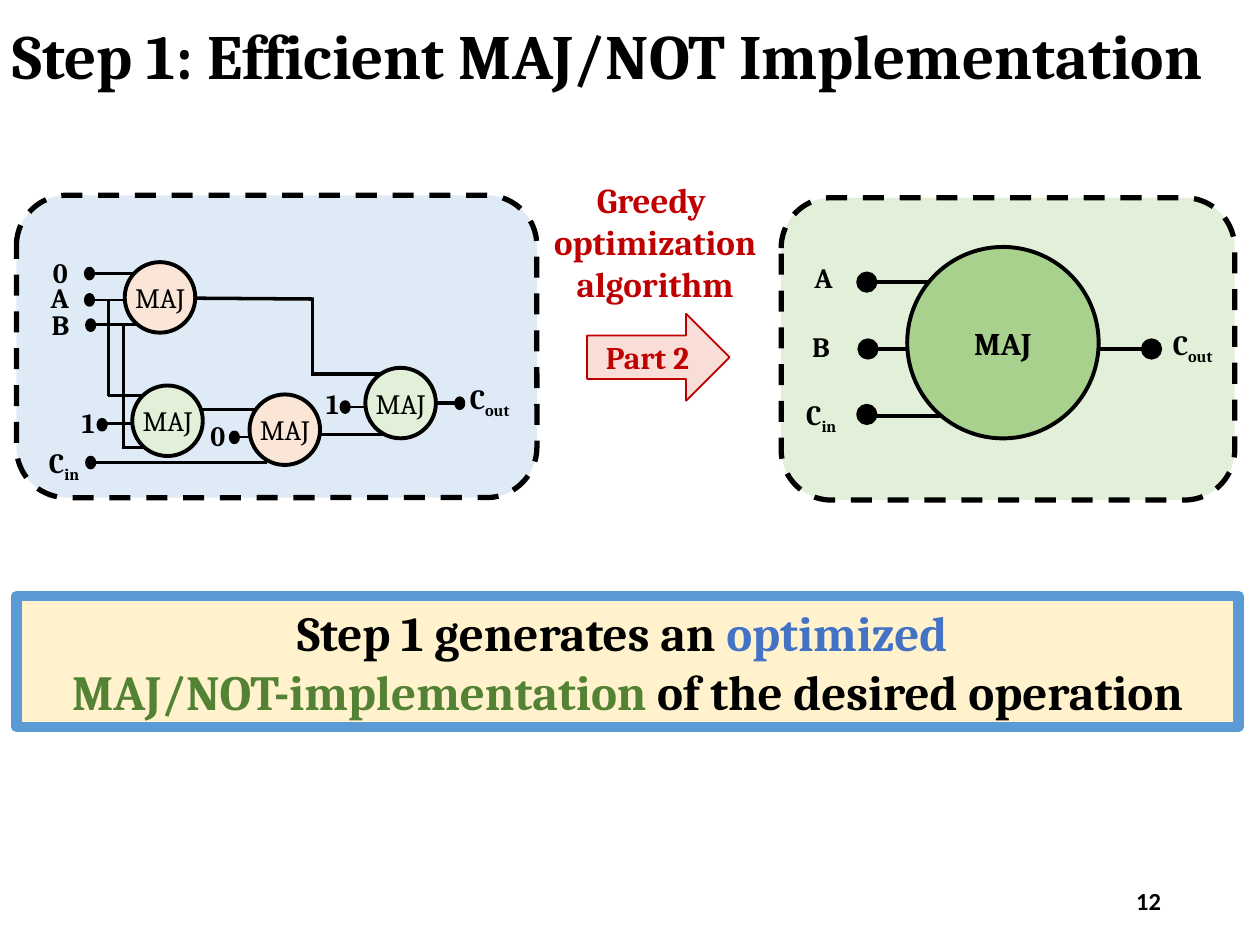
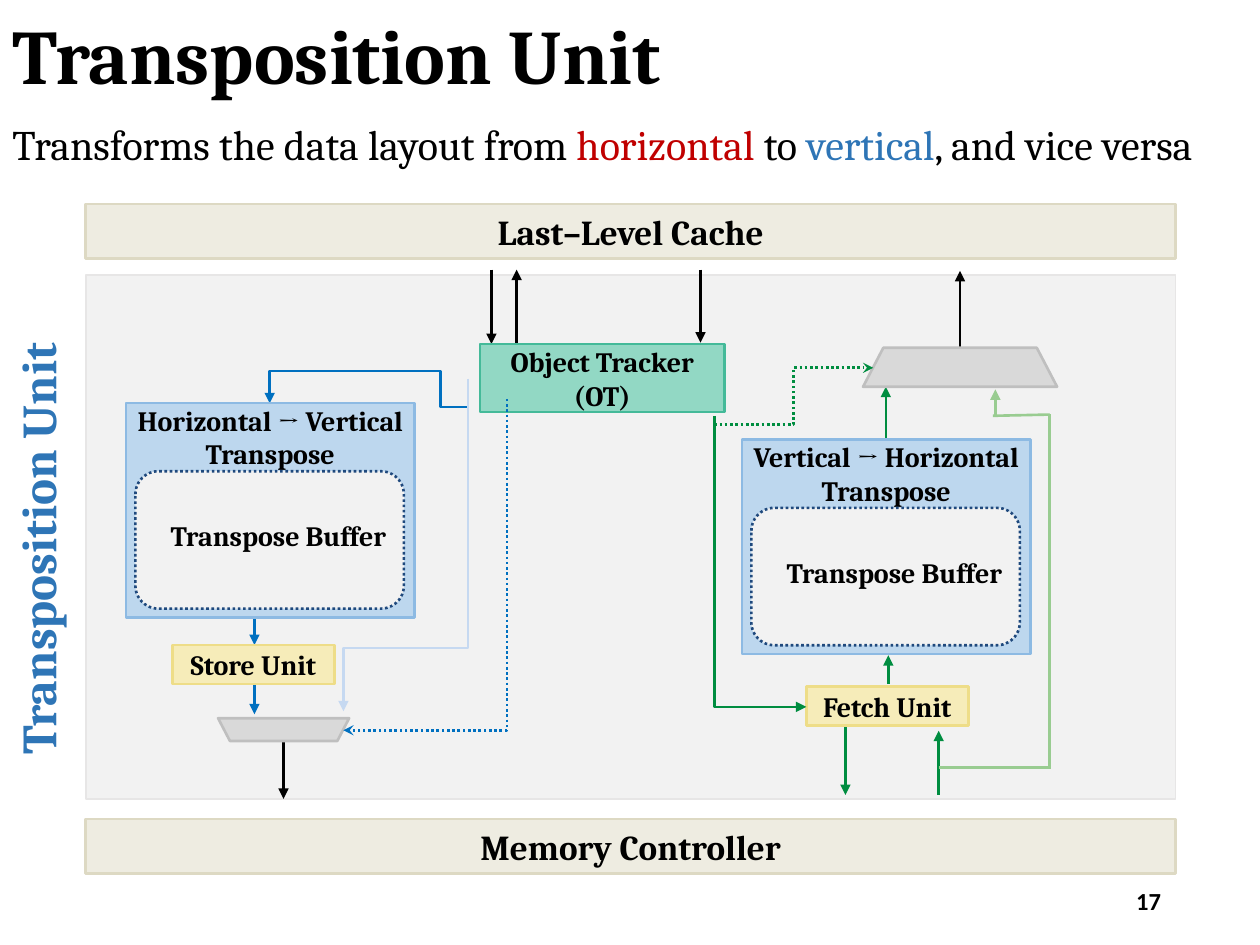
"""Build two slides: the MAJ/NOT implementation step and the transposition unit."""
from lxml.etree import SubElement
from pptx import Presentation
from pptx.dml.color import RGBColor
from pptx.enum.dml import MSO_LINE
from pptx.enum.shapes import MSO_CONNECTOR, MSO_SHAPE
from pptx.enum.text import MSO_ANCHOR, MSO_AUTO_SIZE, PP_ALIGN
from pptx.oxml.ns import qn
from pptx.util import Pt

BLACK, RED, BLUE, GREEN = "000000", "C00000", "0070C0", "008D40"
PALE_GREEN, PALE_BLUE, ACCENT = "99CC91", "C6D9F1", "2E75B6"
SAND, CREAM, GREY = ("EEECE1", "DDD9C3"), ("F6ECB9", "EEDD88"), ("D9D9D9", "BFBFBF")
LEFT, CENTER, RIGHT = PP_ALIGN.LEFT, PP_ALIGN.CENTER, PP_ALIGN.RIGHT
TOP, MIDDLE = MSO_ANCHOR.TOP, MSO_ANCHOR.MIDDLE
DOT = MSO_SHAPE.FLOWCHART_CONNECTOR
RECT, ROUND = MSO_SHAPE.RECTANGLE, MSO_SHAPE.ROUNDED_RECTANGLE


def put(shapes, geom, box, text="", size=16, colors=(BLACK,), bold=True, font="Cambria",
        align=CENTER, anchor=TOP, wrap=True, grow=None, ins=(7.2, 3.6, 7.2, 3.6),
        sub=False, spacing=None, fill=None, line=None, width=1.5, dash=None, rot=0):
    """Place a text box, the title or a shape; '|' splits runs, which take colors in turn."""
    x, y, w, h = map(Pt, box)
    if geom == "title":
        sp = shapes.title
        sp.left, sp.top, sp.width, sp.height = x, y, w, h
    elif geom == "text":
        sp = shapes.add_textbox(x, y, w, h)
    else:
        sp = shapes.add_shape(geom, x, y, w, h)
        sp.shadow.inherit = False
        sp.fill.solid()
        sp.fill.fore_color.rgb = RGBColor.from_string(fill)
        sp.line.color.rgb = RGBColor.from_string(line)
        sp.line.width = Pt(width)
        if dash:
            sp.line.dash_style = dash
    sp.rotation = rot
    if not text:
        return sp
    tf = sp.text_frame
    tf.word_wrap, tf.vertical_anchor = wrap, anchor
    grow = geom == "text" if grow is None else grow
    tf.auto_size = MSO_AUTO_SIZE.SHAPE_TO_FIT_TEXT if grow else MSO_AUTO_SIZE.NONE
    tf.margin_left, tf.margin_top, tf.margin_right, tf.margin_bottom = map(Pt, ins)
    count = 0
    for i, para in enumerate(text.split("\n")):
        p = tf.add_paragraph() if i else tf.paragraphs[0]
        p.alignment = align
        if spacing:
            p.line_spacing = spacing
        for j, part in enumerate(para.split("|")):
            r = p.add_run()
            r.text = part
            r.font.name, r.font.size, r.font.bold = font, Pt(size), bold
            r.font.color.rgb = RGBColor.from_string(colors[count % len(colors)])
            count += 1
            if sub and j:
                r.font._element.set("baseline", "-25000")
    return sp


def wire(shapes, x1, y1, x2, y2, color=BLACK, width=1.5, tail=None, dash=None, bend=None,
         rot=0, adj=()):
    """Draw a connector; bend names an elbow preset, turned by rot degrees and shaped by adj."""
    c = shapes.add_connector(MSO_CONNECTOR.STRAIGHT, Pt(x1), Pt(y1), Pt(x2), Pt(y2))
    c.line.color.rgb = RGBColor.from_string(color)
    c.line.width = Pt(width)
    if dash:
        c.line.dash_style = dash
    spPr = c.element.spPr
    if tail:
        SubElement(spPr.find(qn("a:ln")), qn("a:tailEnd"), type=tail)
    SubElement(spPr, qn("a:effectLst"))
    if bend:
        spPr.find(qn("a:xfrm")).set("rot", str(rot * 60000))
        geom = spPr.find(qn("a:prstGeom"))
        geom.set("prst", bend)
        av = geom.find(qn("a:avLst"))
        for i, value in enumerate(adj, 1):
            SubElement(av, qn("a:gd"), name=f"adj{i}", fmla=f"val {round(value * 100000)}")


prs = Presentation()
prs.slide_width, prs.slide_height = Pt(720), Pt(540)
slides = []
for title, box, size, anchor, spacing, number in [
        ("Step 1: Efficient MAJ/NOT Implementation", (0, 2, 726, 58.5), 36, MIDDLE, 1, "12"),
        ("Transposition Unit", (0, 6.5, 708, 58.5), 44, TOP, 0.9, "17")]:
    s = prs.slides.add_slide(prs.slide_layouts[5])
    put(s.shapes, "title", box, title, size=size, align=LEFT, anchor=anchor, spacing=spacing)
    put(s.shapes, "text", (508.5, 500.5, 162, 28.8), number, size=14, font="Calibri",
        align=RIGHT, anchor=MIDDLE, grow=False)
    slides.append(s)
step, unit = slides

put(step.shapes, MSO_SHAPE.RIGHT_ARROW, (335.5, 179.3, 81.4, 49.7), "Part 2", size=18,
    colors=[RED], anchor=MIDDLE, fill="F9DED7", line=RED, width=1)
put(step.shapes, RECT, (9.4, 340.6, 698.4, 74.9),
    "Step 1 generates an |optimized \nMAJ/NOT-implementation |of the desired operation",
    size=28, colors=[BLACK, "4472C4", "548235", BLACK], grow=True,
    fill="FFF2CC", line="5B9BD5", width=6)
put(step.shapes, "text", (299.5, 98.6, 149.8, 79.9), "Greedy \noptimization\nalgorithm",
    size=20, colors=[RED])

after = step.shapes.add_group_shape().shapes
put(after, ROUND, (446.4, 113, 259.2, 172.8), fill="E2F0D9", line=BLACK, width=3,
    dash=MSO_LINE.DASH)
for x1, x2, y in [(611.3, 660.2, 199.4), (499.7, 548.6, 161.3), (499.7, 548.6, 199.4),
                  (496.8, 545, 237.6)]:
    wire(after, x1, y, x2, y, width=2)
for x, y in [(653, 194.4), (490.3, 156.2), (491, 194.4), (490.3, 231.8)]:
    put(after, DOT, (x, y, 10.1, 10.1), fill=BLACK, line=BLACK, width=2)
put(after, MSO_SHAPE.OVAL, (518.4, 141.1, 109.4, 109.4), "MAJ", size=18, anchor=MIDDLE,
    fill="A9D18E", line=BLACK, width=2.25)

before = step.shapes.add_group_shape().shapes
put(before, ROUND, (9.4, 111.6, 297.4, 172.8), fill="DEEBF7", line=BLACK, width=3,
    dash=MSO_LINE.DASH)
for x1, y1, x2, y2 in [
        (54, 156.2, 77, 156.2), (54, 185.5, 82.8, 185.5), (111.6, 170.4, 179.3, 170.9),
        (51.8, 264.2, 152.6, 264.2), (180.7, 248.4, 229, 248.4), (61.9, 226.1, 81.4, 226.1),
        (69.8, 255.6, 84.2, 255.6), (114.5, 234, 151.2, 234), (61.9, 171.4, 61.9, 226.1),
        (70.6, 185, 70.6, 255.6), (177.8, 213.8, 224.6, 213.8), (249.1, 230.4, 265, 230.4),
        (178.6, 170.6, 178.6, 213.8)]:
    wire(before, x1, y1, x2, y2, width=2)
for x1, x2, y in [(51.8, 71.3, 171.4), (135.4, 142.6, 249.8), (198, 209.5, 232.6),
                  (57.6, 76.3, 241.9)]:
    wire(before, x1, y, x2, y)
for x, y in [(49, 153.4), (49.7, 182.9), (49.7, 261.4), (260.6, 227.5), (49, 168.5),
             (131.8, 247), (195.1, 229.7), (56.2, 239.8)]:
    put(before, DOT, (x, y, 4.3, 5.8), fill=BLACK, line=BLACK, width=2)
for x, y, fill in [(71.3, 149.8, "FBE5D6"), (75.6, 220.3, "E2F0D9"),
                   (142.6, 225.4, "FBE5D6"), (208.8, 210.2, "E2F0D9")]:
    put(before, MSO_SHAPE.OVAL, (x, y, 40.3, 40.3), "MAJ", bold=False, anchor=MIDDLE,
        ins=(0, 0, 0, 0), fill=fill, line=BLACK, width=2.25)

for group, text, x, y, w in [
        (after, "A", 457.9, 145.4, 25.2), (after, "B", 456.5, 185, 25.2),
        (after, "C|in", 453.6, 223.9, 33.8), (after, "C|out", 663.1, 183.6, 40.3),
        (before, "0", 22.3, 142.6, 24.5), (before, "A", 21.6, 157, 25.2),
        (before, "B", 21.6, 172.1, 25.9), (before, "C|in", 20.9, 251.3, 33.8),
        (before, "C|out", 261.4, 214.6, 40.3), (before, "0", 112.3, 235.4, 24.5),
        (before, "1", 177.8, 217.4, 24.5), (before, "1", 38.2, 228.2, 24.5)]:
    put(group, "text", (x, y, w, 26.6), text, sub=True, wrap=False,
        align=LEFT if "|" in text else CENTER)

put(unit.shapes, RECT, (49, 157, 622.8, 299.5), fill="F2F2F2", line="E7E6E6", width=1)
for text, y in [("Last–Level Cache", 116.6), ("Memory Controller", 468)]:
    put(unit.shapes, RECT, (49, y, 622.8, 31.3), text, size=20, anchor=MIDDLE,
        fill=SAND[0], line=SAND[1])
put(unit.shapes, "text", (-142.6, 293, 327.6, 41), "Transposition Unit", size=28,
    colors=[ACCENT], rot=270)
put(unit.shapes, "text", (0, 64.1, 726.5, 36),
    "Transforms the data layout from |horizontal| to |vertical|, and vice versa", size=24,
    colors=[BLACK, RED, BLACK, ACCENT, BLACK], bold=False, align=LEFT, wrap=False)

tracker, fetch, store = [unit.shapes.add_group_shape().shapes for _ in range(3)]
for group, x1, y1, x2, y2, color, tail in [
        (tracker, 295.2, 204.5, 295.2, 154.1, BLACK, "triangle"),
        (tracker, 280.8, 154.1, 280.8, 196.6, BLACK, "triangle"),
        (tracker, 400.3, 154.1, 400.3, 195.8, BLACK, "triangle"),
        (fetch, 507.6, 391, 507.6, 374.4, GREEN, "triangle"),
        (fetch, 536.4, 454.3, 536.4, 417.6, GREEN, "triangle"),
        (fetch, 548.6, 219.6, 548.6, 154.8, BLACK, "triangle"),
        (fetch, 506.2, 251.3, 506.2, 221, GREEN, "triangle"),
        (fetch, 483.1, 415.4, 483.1, 454.3, GREEN, "triangle"),
        (fetch, 536.4, 438.5, 600.5, 438.5, PALE_GREEN, None),
        (fetch, 599.8, 438.5, 599.8, 236.5, PALE_GREEN, None),
        (fetch, 599.8, 236.9, 567.4, 237.6, PALE_GREEN, None),
        (fetch, 568.8, 238.3, 568.8, 222.5, PALE_GREEN, "triangle"),
        (store, 145.4, 351.4, 145.4, 368.6, BLUE, "triangle"),
        (store, 145.4, 391, 145.4, 408.2, BLUE, "triangle"),
        (store, 162, 423.4, 162, 456.5, BLACK, "triangle")]:
    wire(group, x1, y1, x2, y2, color, tail=tail)

put(tracker, RECT, (274.3, 196.6, 139.7, 38.9), "Object Tracker (OT)", anchor=MIDDLE,
    fill="92D8C4", line="44BA99")
for group, text, x, y in [(fetch, "Fetch Unit", 460.8, 392.4),
                          (store, "Store Unit", 98.6, 368.6)]:
    put(group, RECT, (x, y, 92.5, 22.3), text, anchor=MIDDLE, fill=CREAM[0], line=CREAM[1])
for group, box, rot in [(fetch, (493.2, 198.7, 110.9, 22.3), 0),
                        (store, (124.6, 410.4, 74.9, 13), 180)]:
    mux = put(group, MSO_SHAPE.TRAPEZOID, box, fill=GREY[0], line=GREY[1], rot=rot)
    mux.adjustments[0] = 0.52

wire(fetch, 517.7, 294.5, 351.4, 347, GREEN, tail="triangle", bend="bentConnector2", rot=270)
wire(fetch, 408.2, 242.6, 499, 210.2, GREEN, tail="stealth", dash=MSO_LINE.ROUND_DOT,
     bend="bentConnector3", adj=[0.5])
wire(store, 154.1, 230.4, 267.5, 232.5, BLUE, tail="triangle", bend="bentConnector4",
     rot=180, adj=[0.14, 9.8])
wire(store, 136.8, 275.8, 326.9, 347, PALE_BLUE, tail="triangle", bend="bentConnector3",
     rot=90, adj=[0.81])
wire(store, 148.3, 275.8, 337.7, 369.4, BLUE, tail="stealth", dash=MSO_LINE.ROUND_DOT,
     bend="bentConnector2", rot=90)

for group, text, x, y in [(fetch, "Vertical → Horizontal\nTranspose", 424, 251.3),
                          (store, "Horizontal → Vertical\nTranspose", 72, 230.4)]:
    put(group, RECT, (x, y, 164.9, 122.4), text, ins=(0, 0, 0, 3.6),
        fill="BDD7EE", line="8DBAE3")
    put(group, ROUND, (x + 5.4, y + 38.9, 153.4, 78.5), fill="F2F2F2", line="1F497D",
        dash=MSO_LINE.ROUND_DOT)
    put(group, "text", (x + 11.5, y + 62.6, 151.2, 26.6), "Transpose Buffer")

prs.save("out.pptx")
